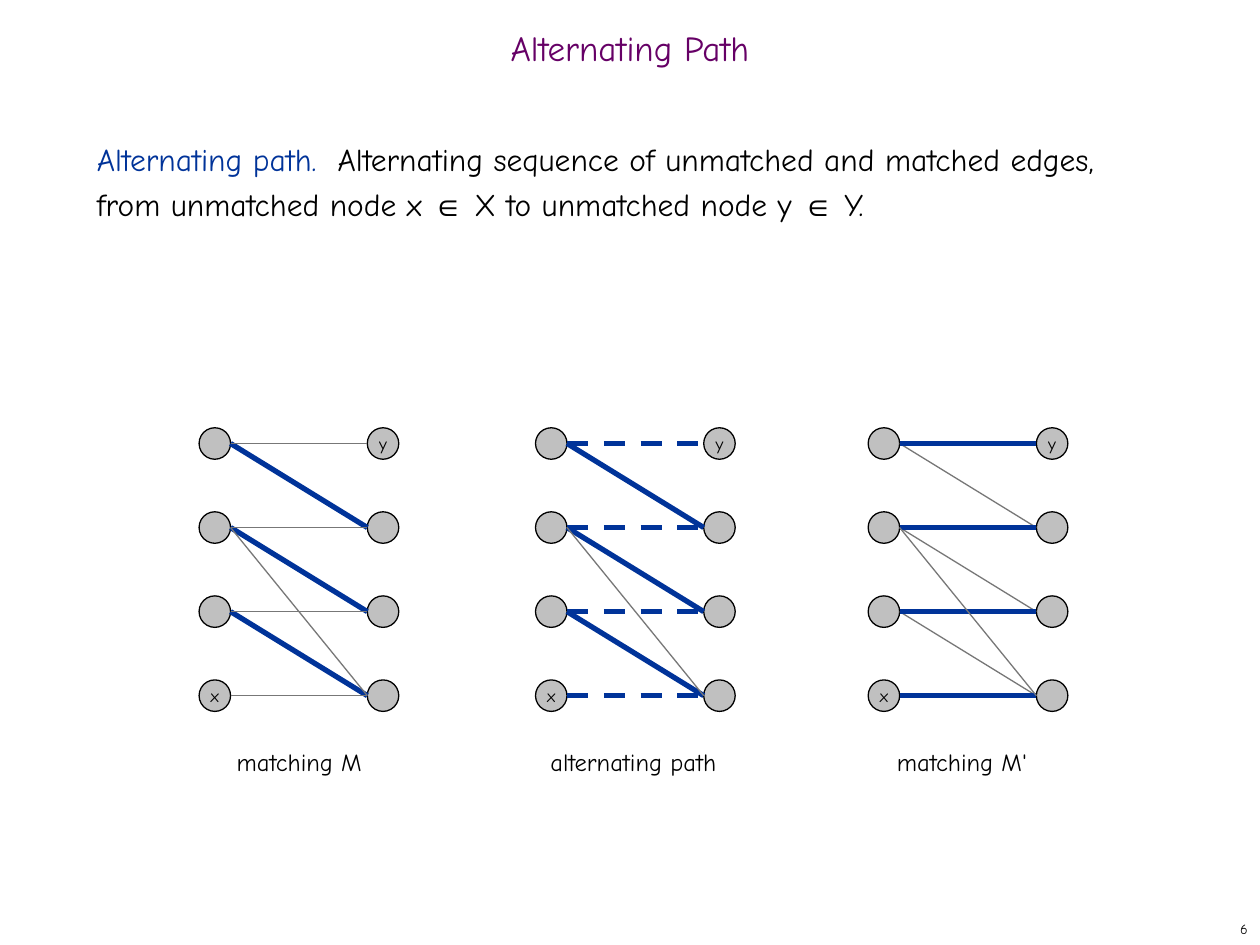
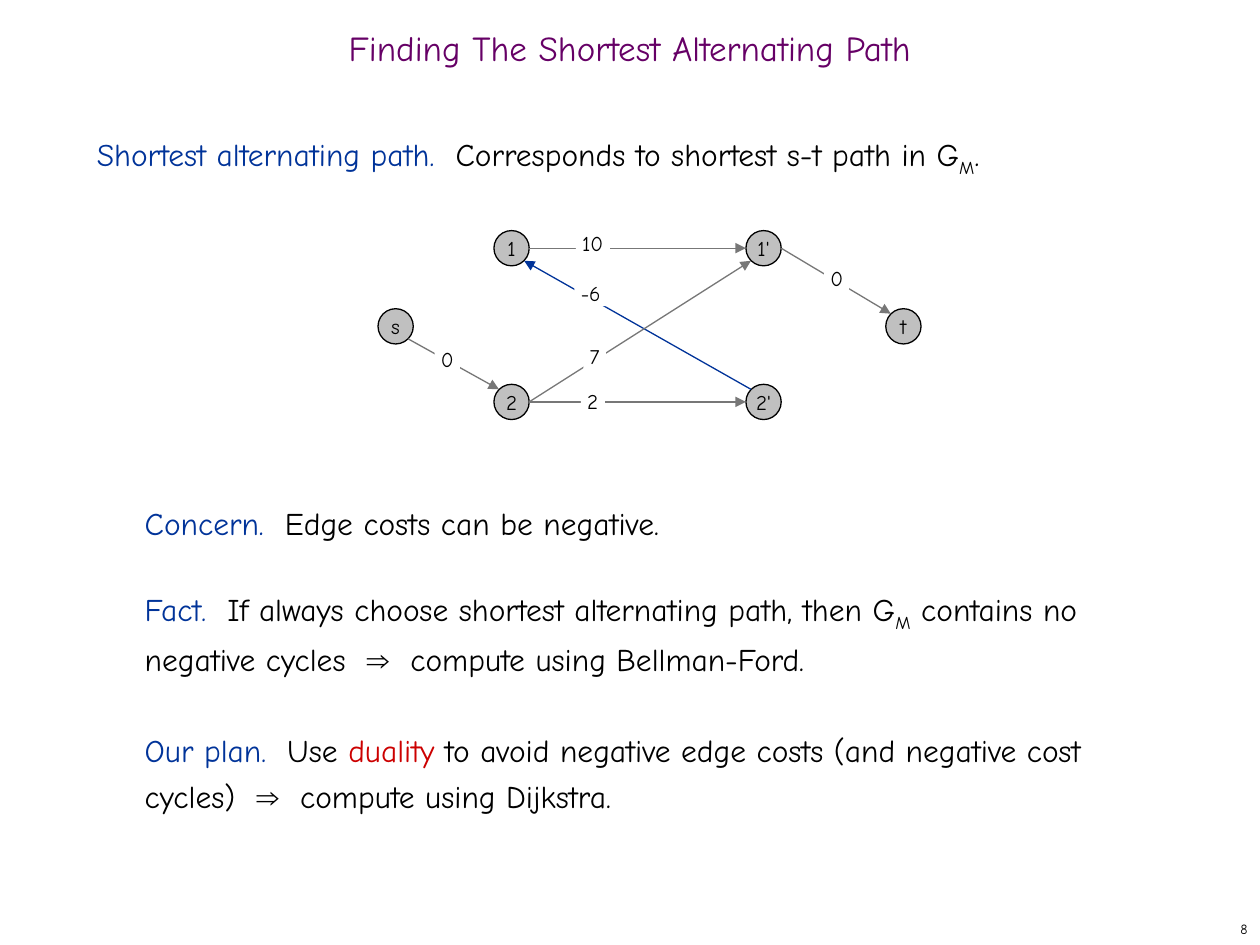
from lxml import etree
from pptx import Presentation
from pptx.dml.color import RGBColor
from pptx.enum import dml, shapes, text
from pptx.oxml.ns import qn
from pptx.util import Inches, Pt

BLACK = RGBColor(0x00, 0x00, 0x00)
WHITE = RGBColor(0xFF, 0xFF, 0xFF)
PURPLE = RGBColor(0x66, 0x00, 0x66)
BLUE = RGBColor(0x00, 0x33, 0x99)
RED = RGBColor(0xCC, 0x00, 0x00)
SILVER = RGBColor(0xC0, 0xC0, 0xC0)
GRAY = RGBColor(0x77, 0x77, 0x77)

FONT = "Comic Neue"
SYMBOL = {"font": "Arial"}
TERM = {"color": BLUE}
SUBSCRIPT = {"baseline": -25000}


def add_text(para, content, size=18, color=BLACK, font=FONT, baseline=None):
    span = para.add_run()
    span.text = content
    span.font.size = Pt(size)
    span.font.name = font
    span.font.color.rgb = color
    if baseline is not None:
        span.font._element.set("baseline", str(baseline))


class Slides:
    """Holds the deck, its shared style and the slide being filled."""

    def __init__(self):
        self.deck = Presentation()
        self.deck.slide_width = Inches(10)
        self.deck.slide_height = Inches(7.5)
        self.page = None

    def start(self, title, number):
        self.page = self.deck.slides.add_slide(self.deck.slide_layouts[6])
        heading = self.label(title, 0, 0.17, 10, 0.5, size=20, color=PURPLE,
                             align=text.PP_ALIGN.CENTER, middle=True, wrap=True)
        heading.text_frame.paragraphs[0].line_spacing = 0.7
        self.label(str(number), 7.92, 7.25, 2.08, 0.25, size=8,
                   align=text.PP_ALIGN.RIGHT, middle=True, wrap=True)

    def label(self, content, left, top, width, height, align=text.PP_ALIGN.LEFT,
              middle=False, wrap=False, **style):
        box = self.page.shapes.add_textbox(
            Inches(left), Inches(top), Inches(width), Inches(height))
        frame = box.text_frame
        frame.word_wrap = wrap
        if middle:
            frame.vertical_anchor = text.MSO_ANCHOR.MIDDLE
        para = frame.paragraphs[0]
        para.alignment = align
        add_text(para, content, **style)
        return box

    def body(self, *paragraphs):
        """Each paragraph is the gap above it in points and its (text, format) spans."""
        box = self.page.shapes.add_textbox(
            Inches(0.67), Inches(1), Inches(8.58), Inches(5.92))
        frame = box.text_frame
        frame.word_wrap = True
        for index, (gap, indent, spans) in enumerate(paragraphs):
            para = frame.add_paragraph() if index else frame.paragraphs[0]
            para.line_spacing = Pt(26)
            para.space_before = Pt(gap)
            if indent:
                para._p.get_or_add_pPr().set("marL", str(Inches(indent)))
            for content, style in spans:
                add_text(para, content, **style)

    def node(self, center, diameter, name="", size=12):
        x, y = center
        circle = self.page.shapes.add_shape(
            shapes.MSO_SHAPE.OVAL, Inches(x - diameter / 2), Inches(y - diameter / 2),
            Inches(diameter), Inches(diameter))
        circle.shadow.inherit = False
        circle.fill.solid()
        circle.fill.fore_color.rgb = SILVER
        circle.line.color.rgb = BLACK
        circle.line.width = Pt(0.75)
        if name:
            frame = circle.text_frame
            frame.word_wrap = False
            frame.vertical_anchor = text.MSO_ANCHOR.MIDDLE
            frame.paragraphs[0].alignment = text.PP_ALIGN.CENTER
            add_text(frame.paragraphs[0], name, size=size)

    def edge(self, start, end, color=GRAY, width=0.75, dashed=False, arrow=False):
        line = self.page.shapes.add_connector(
            shapes.MSO_CONNECTOR.STRAIGHT, *(Inches(value) for value in (*start, *end)))
        line.line.color.rgb = color
        line.line.width = Pt(width)
        if dashed:
            line.line.dash_style = dml.MSO_LINE.DASH
        properties = line._element.spPr
        if arrow:
            tail = etree.SubElement(properties.find(qn("a:ln")), qn("a:tailEnd"))
            tail.set("type", "triangle")
        etree.SubElement(properties, qn("a:effectLst"))

    def cost(self, value, left, top, width):
        """White tag that interrupts an edge to show its cost."""
        tag = self.page.shapes.add_shape(
            shapes.MSO_SHAPE.RECTANGLE, Inches(left), Inches(top), Inches(width), Inches(0.2))
        tag.shadow.inherit = False
        tag.fill.solid()
        tag.fill.fore_color.rgb = WHITE
        tag.line.fill.background()
        frame = tag.text_frame
        frame.word_wrap = False
        frame.vertical_anchor = text.MSO_ANCHOR.TOP
        frame.margin_left = frame.margin_right = Inches(0.05)
        frame.margin_top = frame.margin_bottom = 0
        frame.paragraphs[0].alignment = text.PP_ALIGN.LEFT
        add_text(frame.paragraphs[0], value, size=12)


def draw_matching(slides, left, caption, caption_left, caption_width, diagonal, level):
    """Bipartite graph of four node pairs with formats for its two edge families."""
    diameter, span = 0.25, 1.335
    rows = [3.52 + 0.667 * row for row in range(4)]
    left_x, right_x = left + diameter / 2, left + diameter / 2 + span
    for row, y in enumerate(rows):
        slides.node((left_x, y), diameter, "x" if row == 3 else "", size=10)
        slides.node((right_x, y), diameter, "y" if row == 0 else "", size=10)

    def join(source, target, style):
        slides.edge((left_x + diameter / 2, rows[source]),
                    (right_x - diameter / 2, rows[target]), **style)

    for row in range(3):
        join(row, row + 1, diagonal)
    for row in range(4):
        join(row, row, level)
    join(1, 3, {})
    slides.label(caption, caption_left, 5.88, caption_width, 0.33, size=14)


def alternating_path(slides):
    slides.start("Alternating Path", 6)
    slides.body((0, 0, [
        ("Alternating path.  ", TERM),
        ("Alternating sequence of unmatched and matched edges, from unmatched node x ", {}),
        ("∈", SYMBOL), (" X to unmatched node y ", {}), ("∈", SYMBOL), (" Y.", {})]))
    plain = {}
    matched = {"color": BLUE, "width": 3}
    candidate = {**matched, "dashed": True}
    draw_matching(slides, 1.58, "matching M", 1.78, 1.2, matched, plain)
    draw_matching(slides, 4.25, "alternating path", 4.27, 1.53, matched, candidate)
    draw_matching(slides, 6.89, "matching M'", 7.02, 1.24, plain, matched)


def shortest_path(slides):
    slides.start("Finding The Shortest Alternating Path", 8)
    slides.body(
        (0, 0, [("Shortest alternating path.  ", TERM),
                ("Corresponds to shortest s-t path in G", {}), ("M", SUBSCRIPT), (".", {})]),
        (7 * 26, 0.38, [("Concern.  ", TERM), ("Edge costs can be negative.", {})]),
        (26, 0.38, [("Fact.  ", TERM),
                    ("If always choose shortest alternating path, then G", {}),
                    ("M", SUBSCRIPT), (" contains no negative cycles  ", {}),
                    ("⇒", SYMBOL), ("  compute using Bellman-Ford.", {})]),
        (26, 0.38, [("Our plan.  ", TERM), ("Use ", {}), ("duality", {"color": RED}),
                    (" to avoid negative edge costs (and negative cost cycles)  ", {}),
                    ("⇒", SYMBOL), ("  compute using Dijkstra.", {})]))

    diameter = 0.28
    centers = {"1": (4.06, 1.97), "2": (4.06, 3.19), "1'": (6.06, 1.97),
               "2'": (6.06, 3.19), "s": (3.14, 2.59), "t": (7.17, 2.59)}
    for name, center in centers.items():
        slides.node(center, diameter, name)

    radius, slant = diameter / 2, 0.1
    rim = {"right": (radius, 0), "left": (-radius, 0),
           "upper left": (-slant, -slant), "lower left": (-slant, slant),
           "lower right": (slant, slant)}

    def on_rim(name, side):
        return tuple(a + b for a, b in zip(centers[name], rim[side]))

    for source, leave, target, enter, color in (
            ("2'", "upper left", "1", "lower right", BLUE),
            ("1", "right", "1'", "left", GRAY),
            ("2", "right", "2'", "left", GRAY),
            ("2", "right", "1'", "lower left", GRAY),
            ("s", "lower right", "2", "upper left", GRAY),
            ("1'", "right", "t", "upper left", GRAY)):
        slides.edge(on_rim(source, leave), on_rim(target, enter), color, arrow=True)

    for value, left, top, width in (
            ("10", 4.57, 1.83, 0.27), ("-6", 4.56, 2.23, 0.26), ("7", 4.63, 2.73, 0.18),
            ("2", 4.61, 3.08, 0.19), ("0", 3.45, 2.75, 0.2), ("0", 6.54, 2.11, 0.2)):
        slides.cost(value, left, top, width)


def main():
    slides = Slides()
    alternating_path(slides)
    shortest_path(slides)
    slides.deck.save("out.pptx")


if __name__ == "__main__":
    main()
